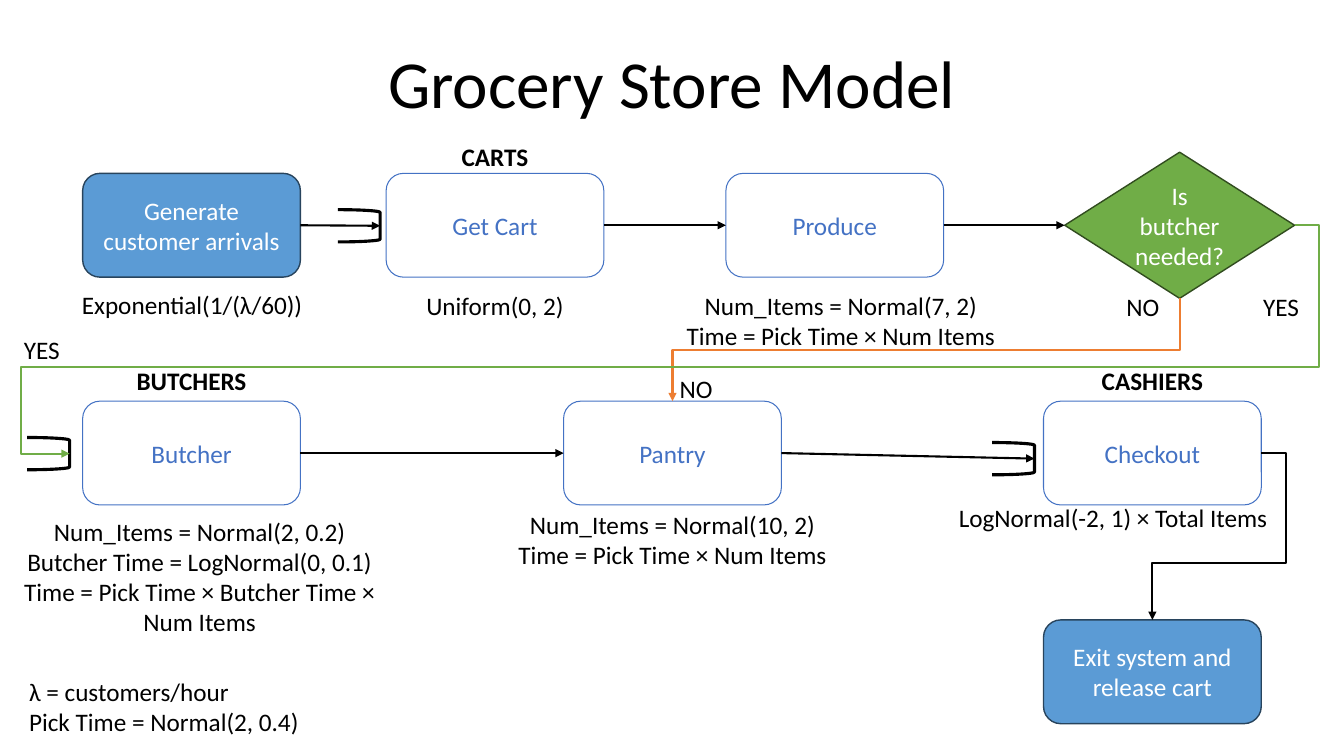
"""Build the grocery store process-flow slide."""
from lxml import etree
from pptx import Presentation
from pptx.dml.color import RGBColor
from pptx.enum.shapes import MSO_CONNECTOR, MSO_SHAPE
from pptx.enum.text import MSO_ANCHOR, MSO_AUTO_SIZE, PP_ALIGN
from pptx.oxml.ns import qn
from pptx.util import Inches, Pt

ROUNDED, DIAMOND = MSO_SHAPE.ROUNDED_RECTANGLE, MSO_SHAPE.FLOWCHART_DECISION
BRACKET = MSO_SHAPE.RIGHT_BRACKET
STRAIGHT, ELBOW = MSO_CONNECTOR.STRAIGHT, MSO_CONNECTOR.ELBOW
LEFT, CENTER = PP_ALIGN.LEFT, PP_ALIGN.CENTER
TOP, MIDDLE = MSO_ANCHOR.TOP, MSO_ANCHOR.MIDDLE
LEFT_SITE, RIGHT_SITE = 1, 3

BLACK, WHITE = RGBColor(0, 0, 0), RGBColor(255, 255, 255)
BLUE, NAVY = RGBColor(0x5B, 0x9B, 0xD5), RGBColor(0x28, 0x44, 0x5D)
OUTLINE_BLUE = RGBColor(0x44, 0x72, 0xC4)
GREEN, DARK_GREEN = RGBColor(0x70, 0xAD, 0x47), RGBColor(0x31, 0x4C, 0x1F)
ORANGE = RGBColor(0xED, 0x7D, 0x31)
FONT = "Calibri"

BOX_WIDTH, BOX_HEIGHT = 2.16, 1.03
ROWS = (1.72, 3.98, 6.15)
QUEUE_WIDTH, QUEUE_HEIGHT = 0.42, 0.32

TERMINAL = (BLUE, NAVY, 1, WHITE)
STEP = (None, OUTLINE_BLUE, 0.75, OUTLINE_BLUE)
DECISION = (GREEN, DARK_GREEN, 1, WHITE)

BOXES = {
    "arrivals": ("Generate customer arrivals", 0.82, ROWS[0], TERMINAL),
    "cart": ("Get Cart", 3.83, ROWS[0], STEP),
    "produce": ("Produce", 7.2, ROWS[0], STEP),
    "butcher": ("Butcher", 0.82, ROWS[1], STEP),
    "pantry": ("Pantry", 5.59, ROWS[1], STEP),
    "checkout": ("Checkout", 10.35, ROWS[1], STEP),
    "exit": ("Exit system and release cart", 10.35, ROWS[2], TERMINAL),
}
QUEUES = {"cart": (3.35, 2.08), "butcher": (0.27, 4.34), "checkout": (9.84, 4.39)}
RESOURCES = [("CARTS", "cart", 1.35), ("BUTCHERS", "butcher", 3.58),
             ("CASHIERS", "checkout", 3.58)]
PICK_TIME = "Time = Pick Time × Num Items"
CAPTIONS = [
    ("Exponential(1/(λ/60))", 0.55, 2.82, 2.71, 0.4, CENTER),
    ("Uniform(0, 2)", 3.83, 2.83, 2.16, 0.4, CENTER),
    ("Num_Items = Normal(7, 2)\n" + PICK_TIME, 6.67, 2.83, 3.34, 0.71, CENTER),
    ("Num_Items = Normal(2, 0.2)\nButcher Time = LogNormal(0, 0.1)\n"
     "Time = Pick Time × Butcher Time × Num Items", 0.12, 5.07, 3.72, 1.31, CENTER),
    ("Num_Items = Normal(10, 2)\n" + PICK_TIME, 5, 5, 3.34, 0.71, CENTER),
    ("LogNormal(-2, 1) × Total Items", 9.37, 4.93, 3.34, 0.4, CENTER),
    ("λ = customers/hour\nPick Time = Normal(2, 0.4)", 0.19, 6.66, 3.64, 0.71, LEFT),
]
BRANCHES = [("YES", 12.37, 2.84), ("NO", 11, 2.84), ("YES", 0.08, 3.27),
            ("NO", 6.57, 3.65)]
TO_BOX = [("cart", "produce"), ("produce", "decision"), ("butcher", "pantry")]
TO_QUEUE = [("arrivals", "cart"), ("pantry", "checkout")]


def write(shape, text, color, size=18, bold=False, align=CENTER, anchor=TOP):
    frame = shape.text_frame
    frame.text = text
    frame.word_wrap = True
    frame.vertical_anchor = anchor
    for paragraph in frame.paragraphs:
        paragraph.alignment = align
        font = paragraph.runs[0].font
        font.name, font.size, font.bold = FONT, Pt(size), bold
        font.color.rgb = color


def add_node(kind, text, left, top, width, height, style):
    fill, line, weight, text_color = style
    shape = slide.shapes.add_shape(kind, *map(Inches, (left, top, width, height)))
    shape.shadow.inherit = False
    if fill is None:
        shape.fill.background()
    else:
        shape.fill.solid()
        shape.fill.fore_color.rgb = fill
    shape.line.color.rgb, shape.line.width = line, Pt(weight)
    if text:
        write(shape, text, text_color, anchor=MIDDLE)
    return shape


def add_label(text, left, top, width, height=0.4, align=CENTER, bold=False):
    label = slide.shapes.add_textbox(*map(Inches, (left, top, width, height)))
    write(label, text, BLACK, bold=bold, align=align)
    label.text_frame.auto_size = MSO_AUTO_SIZE.SHAPE_TO_FIT_TEXT


def add_arrow(kind, start, end, color=BLACK):
    arrow = slide.shapes.add_connector(kind, *start, *end)
    arrow.line.color.rgb, arrow.line.width = color, Pt(1.5)
    etree.SubElement(arrow.line._get_or_add_ln(), qn("a:tailEnd"), type="triangle")
    etree.SubElement(arrow._element.spPr, qn("a:effectLst"))
    return arrow


def bend(arrow, *adjustments):
    geometry = arrow._element.spPr.find(qn("a:prstGeom"))
    geometry.set("prst", f"bentConnector{len(adjustments) + 2}")
    guides = geometry.find(qn("a:avLst"))
    for number, share in enumerate(adjustments, 1):
        etree.SubElement(guides, qn("a:gd"), name=f"adj{number}",
                         fmla=f"val {round(share * 100000)}")


def add_vertical_elbow(start, end, color):
    middle_x, middle_y = (start[0] + end[0]) // 2, (start[1] + end[1]) // 2
    half_drop, half_run = (end[1] - start[1]) // 2, (start[0] - end[0]) // 2
    arrow = add_arrow(ELBOW, (middle_x - half_drop, middle_y - half_run),
                      (middle_x + half_drop, middle_y + half_run), color)
    arrow._element.spPr.find(qn("a:xfrm")).set("rot", str(90 * 60000))


def right_of(shape):
    return shape.left + shape.width, shape.top + shape.height // 2


def top_of(shape):
    return shape.left + shape.width // 2, shape.top


def bottom_of(shape):
    return shape.left + shape.width // 2, shape.top + shape.height


presentation = Presentation()
presentation.slide_width, presentation.slide_height = Inches(13.33), Inches(7.5)
slide = presentation.slides.add_slide(presentation.slide_layouts[5])

title = slide.shapes.title
title.left, title.top, title.width, title.height = map(Inches, (1.28, 0.36, 10.77, 0.91))
write(title, "Grocery Store Model", BLACK, size=48)

nodes = {name: add_node(ROUNDED, text, left, top, BOX_WIDTH, BOX_HEIGHT, style)
         for name, (text, left, top, style) in BOXES.items()}
nodes["decision"] = add_node(DIAMOND, "Is butcher needed?", 10.56, 1.51, 2.28, 1.45, DECISION)
queues = {name: add_node(BRACKET, "", left, top, QUEUE_WIDTH, QUEUE_HEIGHT,
                         (None, BLACK, 2.25, BLACK))
          for name, (left, top) in QUEUES.items()}

for text, box, top in RESOURCES:
    add_label(text, BOXES[box][1], top, BOX_WIDTH, bold=True)
for caption in CAPTIONS:
    add_label(*caption)
for text, left, top in BRANCHES:
    add_label(text, left, top, 0.67)

for source, target in TO_BOX:
    arrow = add_arrow(STRAIGHT, right_of(nodes[source]), top_of(nodes[target]))
    arrow.begin_connect(nodes[source], RIGHT_SITE)
    arrow.end_connect(nodes[target], LEFT_SITE)
for source, target in TO_QUEUE:
    arrow = add_arrow(STRAIGHT, right_of(nodes[source]), right_of(queues[target]))
    arrow.begin_connect(nodes[source], RIGHT_SITE)

add_vertical_elbow(bottom_of(nodes["decision"]), top_of(nodes["pantry"]), ORANGE)
bend(add_arrow(ELBOW, right_of(nodes["checkout"]), top_of(nodes["exit"])), -0.23, 0.66)
bend(add_arrow(ELBOW, right_of(nodes["decision"]), right_of(queues["butcher"]), GREEN),
     -0.02, 0.62, 1.04)

presentation.save("out.pptx")
